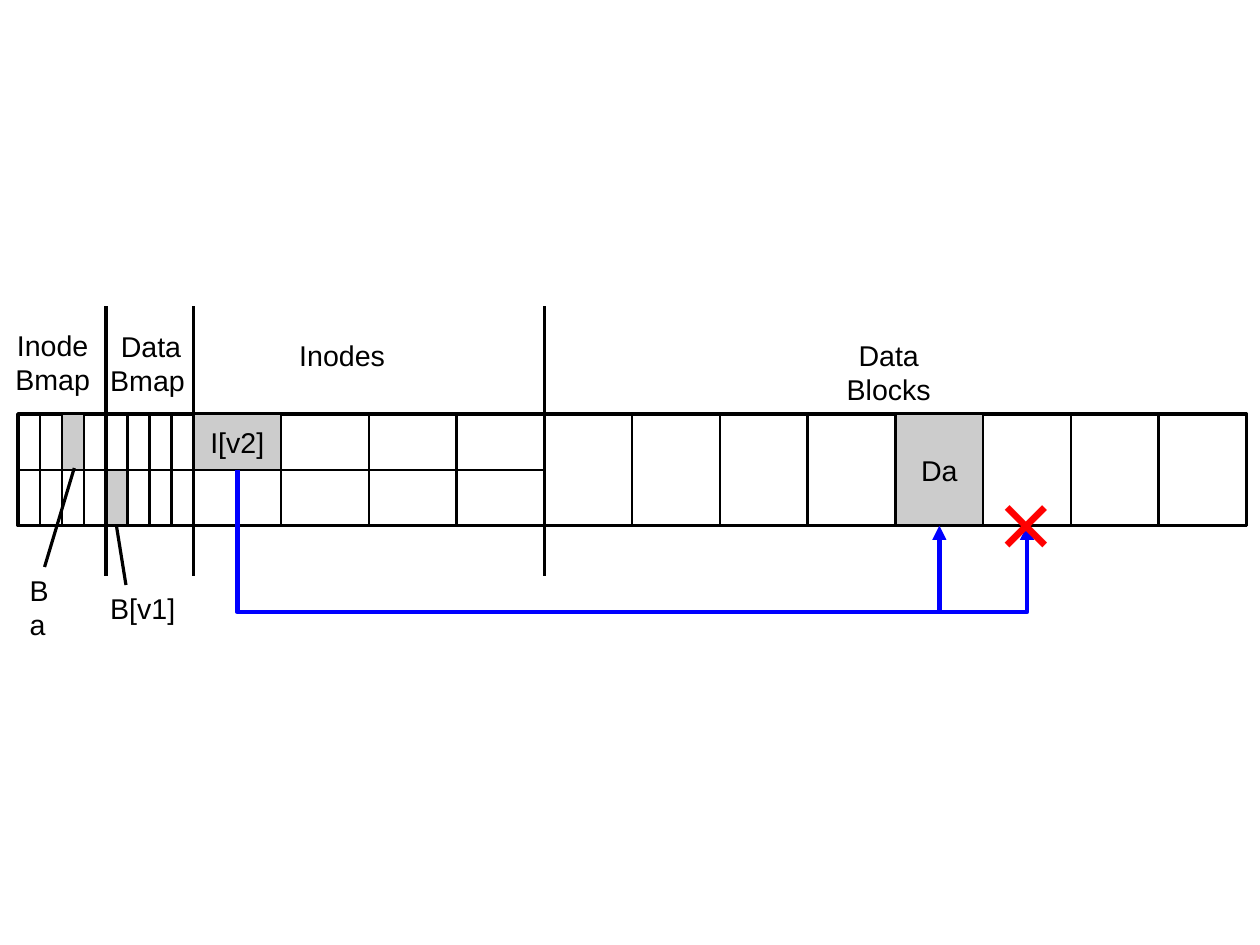
from lxml import etree
from pptx import Presentation, util as u
from pptx.dml.color import RGBColor
from pptx.enum import shapes, text
from pptx.oxml.ns import qn

BLOCKS, SPLIT_BLOCKS, BITMAPS, BITS = 14, 6, 2, 4
USED_BLOCKS = {10: "Da"}
USED_INODES = {(0, 2): "I[v2]"}
USED_BITS = {(0, 2), (1, 4)}
REGION_STARTS = [1, 2, 6]
LABELS = [
    (["Inode", "Bmap"], 0, 7.16, 2.34, 1.68, "cc"),
    (["Data", "Bmap"], 2.2, 7.19, 2.31, 1.68, "cl"),
    (["Inodes"], 6.4, 7.39, 2.8, 0.97, "l"),
    (["Data Blocks"], 17.85, 7.39, 3.8, 0.97, "c"),
    (["B[v1]"], 2.2, 13, 1.96, 0.97, "l"),
    (["Ba"], 0.41, 12.6, 1.25, 0.97, "l"),
]
LEADERS = [((2.59, 11.7), (2.8, 13)), ((1.65, 10.4), (0.99, 12.6))]

THEME = {
    "ink": RGBColor(0, 0, 0), "used": RGBColor(0xCC, 0xCC, 0xCC),
    "pointer": RGBColor(0, 0, 0xFF), "lost": RGBColor(0xFF, 0, 0),
    "font": "Arial", "body": 18, "cross": 60,
    "thin": 0, "cell": 1.5, "frame": 2.3, "arrow": 3,
}
ALIGN = {"l": text.PP_ALIGN.LEFT, "c": text.PP_ALIGN.CENTER}
LEFT, TOP, PITCH, HALF = 0.4, 9.2, 1.95, 1.24
HEIGHT, BIT = 2 * HALF, PITCH / BITS
BOTTOM, TURN = TOP + HEIGHT, 13.6

prs = Presentation()
prs.slide_width, prs.slide_height = u.Cm(28), u.Cm(21)
s = prs.slides.add_slide(prs.slide_layouts[6])


def write(tf, lines, size=THEME["body"], color=THEME["ink"], align="l"):
    for i, line in enumerate(lines):
        p = tf.paragraphs[0] if i == 0 else tf.add_paragraph()
        p.alignment = ALIGN[align[min(i, len(align) - 1)]]
        r = p.add_run()
        r.text = line
        r.font.name, r.font.size = THEME["font"], u.Pt(size)
        r.font.color.rgb = color


def label(lines, x, y, w, h, align="l", **fmt):
    tf = s.shapes.add_textbox(u.Cm(x), u.Cm(y), u.Cm(w), u.Cm(h)).text_frame
    tf.word_wrap = True
    write(tf, lines, align=align, **fmt)


def cell(x, y, w, h, used=False, name=None, width=THEME["cell"]):
    sp = s.shapes.add_shape(shapes.MSO_SHAPE.RECTANGLE,
                            u.Cm(x), u.Cm(y), u.Cm(w), u.Cm(h))
    sp.shadow.inherit = False
    sp.line.color.rgb, sp.line.width = THEME["ink"], u.Pt(width)
    if used:
        sp.fill.solid()
        sp.fill.fore_color.rgb = THEME["used"]
    else:
        sp.fill.background()
    if name:
        tf = sp.text_frame
        tf.word_wrap = False
        tf.vertical_anchor = text.MSO_ANCHOR.MIDDLE
        write(tf, [name], align="c")


def line(start, end, width, color=THEME["ink"], arrow=False,
         kind=shapes.MSO_CONNECTOR.STRAIGHT):
    cx = s.shapes.add_connector(kind, *(u.Cm(v) for v in (*start, *end)))
    cx.line.color.rgb, cx.line.width = color, u.Pt(width)
    if arrow:
        etree.SubElement(cx.line._get_or_add_ln(), qn("a:tailEnd"), type="triangle")
    etree.SubElement(cx._element.spPr, qn("a:effectLst"))
    return cx


def bent_arrow(start, end, turn):
    mid_x, mid_y = (start[0] + end[0]) / 2, (start[1] + end[1]) / 2
    half_w, half_h = (end[1] - start[1]) / 2, (end[0] - start[0]) / 2
    cx = line((mid_x + half_w, mid_y - half_h), (mid_x - half_w, mid_y + half_h),
              THEME["arrow"], THEME["pointer"], True, shapes.MSO_CONNECTOR.ELBOW)
    pr = cx._element.spPr
    pr.find(qn("a:xfrm")).set("rot", "16200000")
    bend = round((turn - start[1]) / (end[1] - start[1]) * 100000)
    guides = pr.find(qn("a:prstGeom")).get_or_add_avLst()
    etree.SubElement(guides, qn("a:gd"), name="adj1", fmla=f"val {bend}")


def col_x(col):
    return LEFT + col * PITCH


cell(LEFT, TOP, BLOCKS * PITCH, HEIGHT, width=THEME["frame"])
for col in range(BLOCKS):
    cell(col_x(col), TOP, PITCH, HEIGHT, col in USED_BLOCKS, USED_BLOCKS.get(col))
for row in range(2):
    y = TOP + row * HALF
    for col in range(SPLIT_BLOCKS):
        inode = (row, col)
        cell(col_x(col), y, PITCH, HALF, inode in USED_INODES, USED_INODES.get(inode))
    for bit in range(BITMAPS * BITS):
        cell(LEFT + bit * BIT, y, BIT, HALF, (row, bit) in USED_BITS)

for col in REGION_STARTS:
    line((col_x(col), 6.8), (col_x(col), 12.8), THEME["frame"])
for item in LABELS:
    label(*item)
for start, end in LEADERS:
    line(start, end, THEME["thin"])

inode_x, data_x, lost_x = (col_x(col + 0.5) for col in (2, 10, 11))
bent_arrow((inode_x, TOP + HALF), (lost_x, BOTTOM), TURN)
line((data_x, TURN), (data_x, BOTTOM), THEME["arrow"], THEME["pointer"], True)
label(["×"], 21.95, 10.18, 1.73, 2.62, size=THEME["cross"], color=THEME["lost"])

prs.save("out.pptx")
